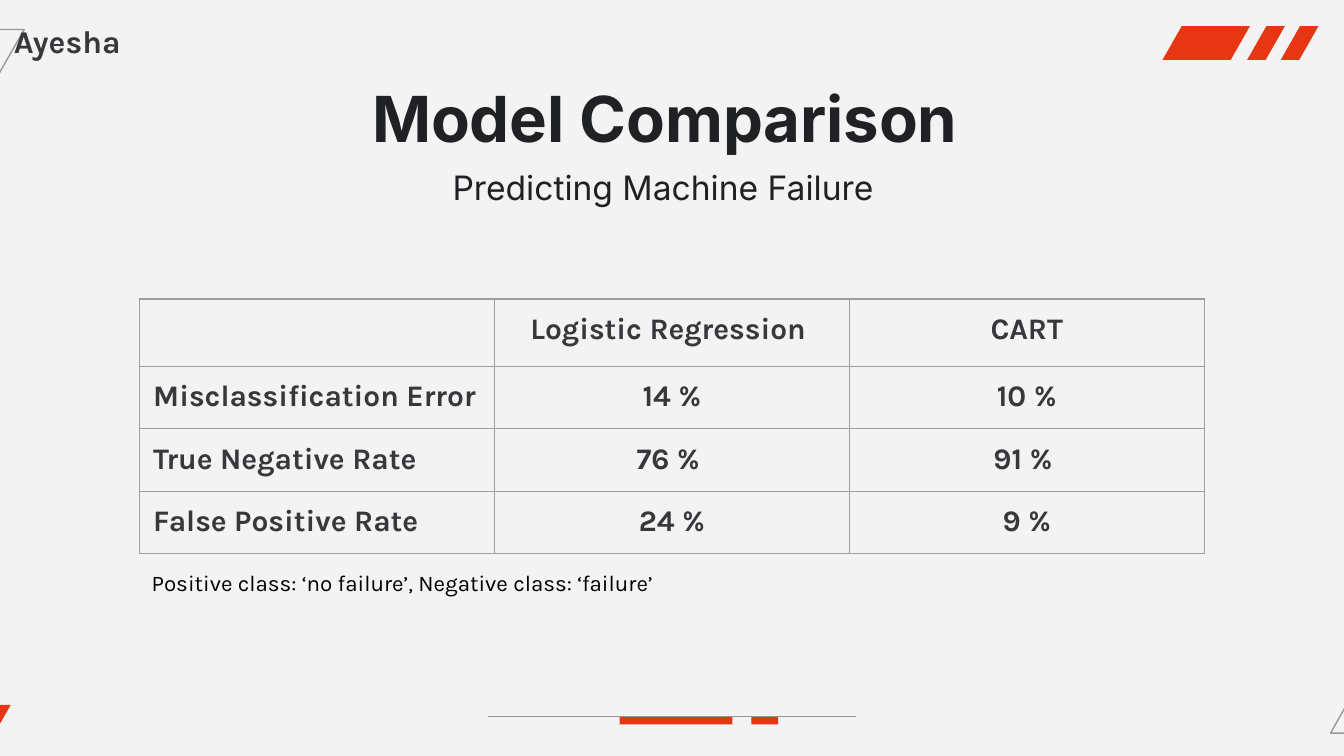
from dataclasses import dataclass
from typing import Optional

import lxml.etree
import pptx
import pptx.dml.color
import pptx.enum.shapes
import pptx.enum.text
import pptx.oxml
import pptx.oxml.ns
import pptx.util

PX = 4572
RED = pptx.dml.color.RGBColor(0xE6, 0x36, 0x13)
GREY = pptx.dml.color.RGBColor(0x94, 0x97, 0x9C)
EDGE = pptx.dml.color.RGBColor(0x9E, 0x9E, 0x9E)
PALE = pptx.dml.color.RGBColor(0xF3, 0xF3, 0xF3)
INK = pptx.dml.color.RGBColor(0x20, 0x21, 0x24)
SLATE = pptx.dml.color.RGBColor(0x36, 0x38, 0x3C)
BLACK = pptx.dml.color.RGBColor(0, 0, 0)
KIND = pptx.enum.shapes.MSO_SHAPE
LEFT = pptx.enum.text.PP_ALIGN.LEFT
MID = pptx.enum.text.PP_ALIGN.CENTER


@dataclass
class Font:
    name: str
    size: int
    color: pptx.dml.color.RGBColor
    bold: bool = False


@dataclass
class Label:
    box: tuple[int, int, int, int]
    text: str
    font: Font
    align: int = LEFT
    tail: Optional[int] = None


@dataclass
class Block:
    box: tuple[int, int, int, int]
    solid: bool = True
    kind: int = KIND.PARALLELOGRAM


CELL = Font("Karla", 16, SLATE, True)
BLOCKS = [
    Block((1980, 971, 132, 120), False),
    Block((-96, 44, 132, 120), False),
    Block((-104, 1049, 120, 108)),
    Block((1730, 39, 130, 50)),
    Block((1856, 39, 56, 50)),
    Block((1906, 39, 56, 50)),
    Block((922, 1066, 168, 12), kind=KIND.RECTANGLE),
    Block((1118, 1066, 40, 12), kind=KIND.RECTANGLE),
]
LABELS = [
    Label((158, 98, 1686, 126), "Model Comparison ", Font("Inter", 34, INK, True), MID),
    Label((623, 184, 754, 154), "Predicting Machine Failure", Font("Inter", 18, INK), MID, 34),
    Label((206, 827, 862, 80), "Positive class: ‘no failure’, Negative class: ‘failure’",
          Font("Karla", 12, BLACK)),
    Label((1, 12, 228, 94), "Ayesha", Font("Karla", 17, SLATE, True)),
]
ROWS = [
    ("", "Logistic Regression ", "CART"),
    ("Misclassification Error", "14 %", "10 %"),
    ("True Negative Rate", "76 % ", "91 % "),
    ("False Positive Rate", "24 %", "9 %"),
]
HEIGHTS = [100, 93, 93, 93]
COL = 528


def scale(*sizes: int) -> list[int]:
    return [size * PX for size in sizes]


def style(par, font: Font, align: int) -> None:
    par.alignment = align
    par.font.name = font.name
    par.font.size = pptx.util.Pt(font.size)
    par.font.bold = font.bold
    par.font.color.rgb = font.color


def inset(frame) -> None:
    frame.margin_left = frame.margin_right = 20 * PX
    frame.margin_top = frame.margin_bottom = 20 * PX


def draw_block(slide, block: Block) -> None:
    shape = slide.shapes.add_shape(block.kind, *scale(*block.box))
    shape.shadow.inherit = False
    if block.kind == KIND.PARALLELOGRAM:
        shape.adjustments[0] = 0.57
    if block.solid:
        shape.fill.solid()
        shape.fill.fore_color.rgb = RED
        shape.line.fill.background()
    else:
        shape.fill.background()
        shape.line.color.rgb = GREY
        shape.line.width = pptx.util.Pt(0.75)


def draw_rule(slide) -> None:
    rule = slide.shapes.add_connector(
        pptx.enum.shapes.MSO_CONNECTOR.STRAIGHT, *scale(726, 1066, 1274, 1066))
    rule.line.color.rgb = GREY
    rule.line.width = pptx.util.Pt(0.75)
    lxml.etree.SubElement(rule._element.spPr, pptx.oxml.ns.qn("a:effectLst"))


def draw_label(slide, label: Label) -> None:
    frame = slide.shapes.add_textbox(*scale(*label.box)).text_frame
    frame.word_wrap = True
    inset(frame)
    par = frame.paragraphs[0]
    par.text = label.text
    style(par, label.font, label.align)
    if label.tail:
        run = par.add_run()
        run.text = " "
        run.font.size = pptx.util.Pt(label.tail)


def add_edges(cell) -> None:
    props = cell._tc.get_or_add_tcPr()
    space = pptx.oxml.ns.nsdecls("a")
    for spot, side in enumerate(("lnL", "lnR", "lnT", "lnB")):
        props.insert(spot, pptx.oxml.parse_xml(
            f'<a:{side} {space} w="9525"><a:solidFill><a:srgbClr val="{EDGE}"/>'
            f'</a:solidFill></a:{side}>'))


def draw_table(slide) -> None:
    count = len(ROWS[0])
    table = slide.shapes.add_table(
        len(ROWS), count, *scale(208, 445, COL * count, sum(HEIGHTS))).table
    table.first_row = table.horz_banding = False
    for col in table.columns:
        col.width = COL * PX
    for y, (words, height) in enumerate(zip(ROWS, HEIGHTS)):
        table.rows[y].height = height * PX
        for x, text in enumerate(words):
            cell = table.cell(y, x)
            inset(cell)
            cell.text = text
            style(cell.text_frame.paragraphs[0], CELL, MID if x else LEFT)
            cell.fill.background()
            add_edges(cell)


def main() -> None:
    """Build the model comparison slide."""
    deck = pptx.Presentation()
    deck.slide_width, deck.slide_height = scale(2000, 1125)
    slide = deck.slides.add_slide(deck.slide_layouts[6])
    slide.background.fill.solid()
    slide.background.fill.fore_color.rgb = PALE
    for block in BLOCKS:
        draw_block(slide, block)
    draw_rule(slide)
    draw_table(slide)
    for label in LABELS:
        draw_label(slide, label)
    deck.save("out.pptx")


if __name__ == "__main__":
    main()
